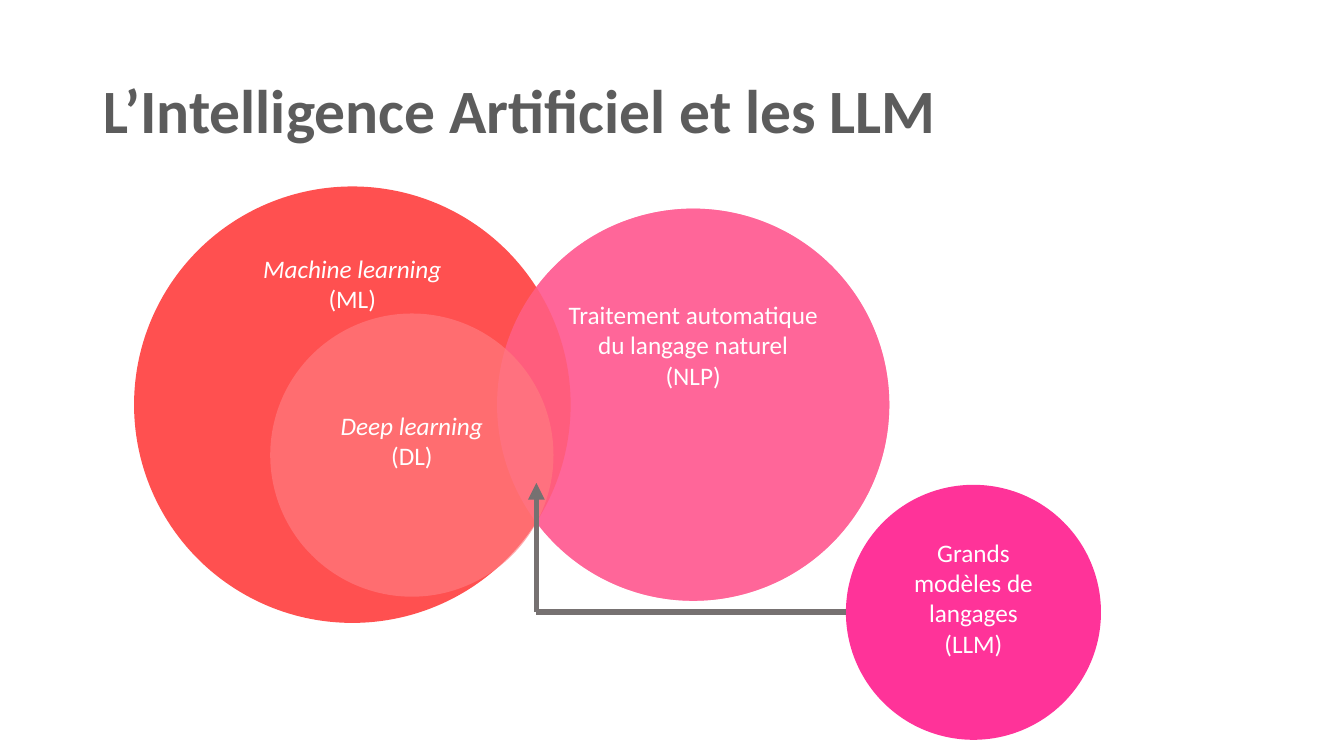
from dataclasses import dataclass

from lxml import etree
from pptx import Presentation
from pptx.dml.color import RGBColor
from pptx.enum.shapes import MSO_CONNECTOR, MSO_SHAPE
from pptx.enum.text import MSO_ANCHOR, PP_ALIGN
from pptx.oxml.ns import qn
from pptx.util import Inches, Pt

OVAL = MSO_SHAPE.OVAL
LINE = MSO_CONNECTOR.STRAIGHT
TOP, MIDDLE = MSO_ANCHOR.TOP, MSO_ANCHOR.MIDDLE
LEFT, CENTER = PP_ALIGN.LEFT, PP_ALIGN.CENTER


@dataclass(frozen=True)
class Theme:
    """Hold the colours, font and type sizes."""
    font: str = "Calibri"
    ink: str = "262626"
    white: str = "FFFFFF"
    red: str = "FF5050"
    coral: str = "FF7C80"
    pink: str = "FF6699"
    rose: str = "FF3399"
    grey: str = "767171"
    head: int = 44
    body: int = 18
    rule: int = 4


THEME = Theme()


def fade(fill, alpha):
    """Set the opacity of a solid fill element in percent."""
    color = fill.find(qn("a:srgbClr"))
    etree.SubElement(color, qn("a:alpha")).set("val", str(alpha * 1000))


def write(para, text, size=THEME.body, color=THEME.white, alpha=100,
          bold=False, italic=False, align=CENTER, space=1.0):
    """Write one formatted run into a paragraph."""
    para.alignment = align
    para.line_spacing = space
    run = para.add_run()
    run.text = text
    font = run.font
    font.name, font.size = THEME.font, Pt(size)
    font.bold, font.italic = bold, italic
    font.color.rgb = RGBColor.from_string(color)
    if alpha < 100:
        fade(run._r.rPr.find(qn("a:solidFill")), alpha)


def add_title(slide, text):
    """Place and fill the title."""
    title = slide.shapes.title
    title.left, title.top = Inches(0.92), Inches(0.4)
    title.width, title.height = Inches(11.5), Inches(1.45)
    title.text_frame.vertical_anchor = MIDDLE
    write(title.text_frame.paragraphs[0], text, size=THEME.head,
          color=THEME.ink, alpha=75, bold=True, align=LEFT, space=0.9)


def add_disc(slide, left, top, size, color, alpha=100, lines=(), drop=0.05,
             italic=False):
    """Draw a circle whose label starts a given drop below its text area."""
    disc = slide.shapes.add_shape(
        OVAL, Inches(left), Inches(top), Inches(size), Inches(size))
    disc.shadow.inherit = False
    disc.line.fill.background()
    disc.fill.solid()
    disc.fill.fore_color.rgb = RGBColor.from_string(color)
    if alpha < 100:
        fade(disc._element.spPr.find(qn("a:solidFill")), alpha)
    frame = disc.text_frame
    frame.word_wrap = True
    frame.vertical_anchor = TOP
    frame.margin_top = Inches(drop)
    for num, text in enumerate(lines):
        para = frame.add_paragraph() if num else frame.paragraphs[0]
        write(para, text, italic=italic and num == 0)


def add_line(slide, start, end, arrow=False):
    """Draw a thick grey line, with an arrowhead on request."""
    x1, y1, x2, y2 = map(Inches, start + end)
    line = slide.shapes.add_connector(LINE, x1, y1, x2, y2)
    line.line.color.rgb = RGBColor.from_string(THEME.grey)
    line.line.width = Pt(THEME.rule)
    if arrow:
        tail = etree.SubElement(line.line._get_or_add_ln(), qn("a:tailEnd"))
        tail.set("type", "triangle")
    etree.SubElement(line._element.spPr, qn("a:effectLst"))


def main():
    """Build the slide and save it."""
    deck = Presentation()
    deck.slide_width, deck.slide_height = Inches(13.33), Inches(7.5)
    slide = deck.slides.add_slide(deck.slide_layouts[5])
    add_title(slide, "L’Intelligence Artificiel et les LLM")

    nlp = (4.93, 2.07, 3.89, THEME.pink)
    add_disc(slide, *nlp)
    add_disc(slide, 1.33, 1.85, 4.33, THEME.red,
             lines=("Machine learning", "(ML)"), drop=0.03, italic=True)
    add_disc(slide, *nlp, alpha=62, drop=0.33,
             lines=("Traitement automatique du langage naturel", "(NLP)"))
    add_disc(slide, 2.68, 3.11, 2.81, THEME.coral, alpha=67,
             lines=("Deep learning", "(DL)"), drop=0.55, italic=True)

    bend = (5.32, 6.07)
    add_line(slide, bend, (5.32, 4.79), arrow=True)
    add_disc(slide, 8.39, 4.81, 2.53, THEME.rose, drop=0.15,
             lines=("Grands modèles de langages", "(LLM)"))
    add_line(slide, (8.39, 6.07), bend)
    deck.save("out.pptx")


if __name__ == "__main__":
    main()
